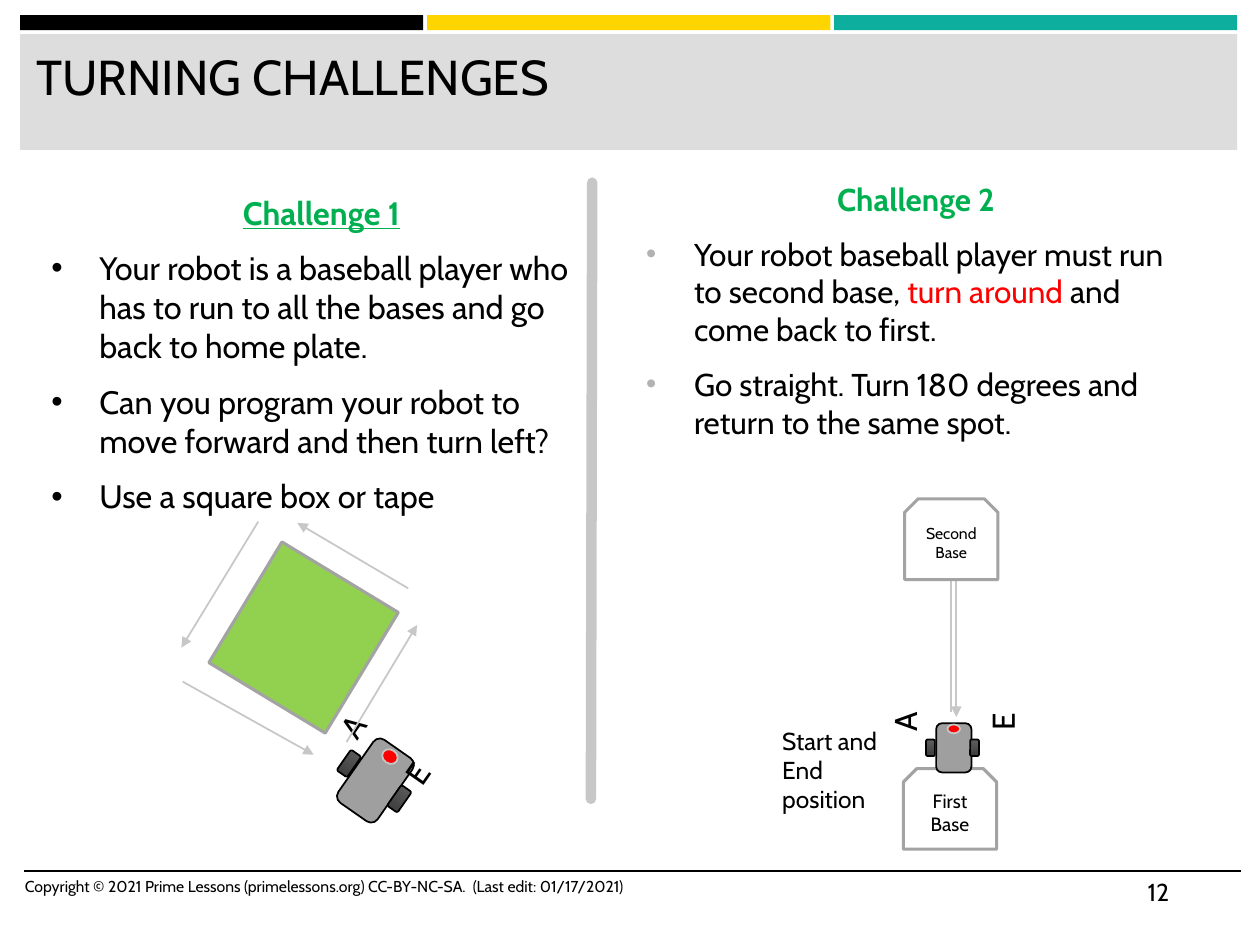
from dataclasses import dataclass
from typing import NamedTuple, Optional

from lxml.etree import SubElement
from pptx import Presentation
from pptx.dml.color import RGBColor
from pptx.enum.shapes import MSO_CONNECTOR as Connector, MSO_SHAPE as Shape
from pptx.enum.text import MSO_ANCHOR as Anchor, PP_ALIGN as Align
from pptx.oxml.ns import qn
from pptx.util import Inches, Pt

FONT = "Cabin"
BLACK, WHITE, RED = "000000", "FFFFFF", "FF0000"
GREEN, LIME, YELLOW, TEAL = "00B050", "92D050", "FFD500", "0EAE9F"
PALE, SILVER, GRAY, BODY_GRAY = "DDDDDD", "C7C7C7", "A3A3A3", "9F9F9F"


class Rect(NamedTuple):
    left: float
    top: float
    width: float
    height: float


class Line(NamedTuple):
    x1: float
    y1: float
    x2: float
    y2: float


class Span(NamedTuple):
    text: str
    color: str = BLACK


@dataclass
class Challenge:
    area: Rect
    heading: str
    size: float
    underline: bool
    bullets: list[list[Span]]
    bullet_color: str
    bullet_percent: int


@dataclass
class Robot:
    body: Rect
    wheels: list[Rect]
    light: Rect
    labels: dict[str, Rect]
    angle: float
    label_angle: float


def rgb(color: str) -> RGBColor:
    return RGBColor.from_string(color)


def add_shape(page, kind, rect: Rect, fill: Optional[str], line: Optional[str] = None,
              weight: float = 1, angle: float = 0):
    shape = page.shapes.add_shape(kind, *map(Inches, rect))
    shape.shadow.inherit = False
    shape.rotation = angle
    if fill:
        shape.fill.solid()
        shape.fill.fore_color.rgb = rgb(fill)
    if line:
        shape.line.color.rgb = rgb(line)
        shape.line.width = Pt(weight)
    else:
        shape.line.fill.background()
    return shape


def add_line(page, ends: Line, color: str = SILVER, weight: float = 1,
             arrow: bool = False, rounded: bool = False) -> None:
    line = page.shapes.add_connector(Connector.STRAIGHT, *map(Inches, ends))
    line.line.color.rgb = rgb(color)
    line.line.width = Pt(weight)
    properties = line.line._get_or_add_ln()
    if rounded:
        properties.set("cap", "rnd")
    if arrow:
        SubElement(properties, qn("a:tailEnd"), type="triangle")
    SubElement(line._element.spPr, qn("a:effectLst"))


def style_text(para, size: float, color: str = BLACK) -> None:
    para.font.name = FONT
    para.font.size = Pt(size)
    para.font.color.rgb = rgb(color)


def add_text(page, rect: Rect, text: str, size: float, angle: float = 0) -> None:
    box = page.shapes.add_textbox(*map(Inches, rect))
    box.rotation = angle
    box.text_frame.word_wrap = True
    box.text_frame.text = text
    style_text(box.text_frame.paragraphs[0], size)


def add_bullet(para, color: str, percent: int) -> None:
    properties = para._p.get_or_add_pPr()
    properties.set("marL", str(Inches(0.38)))
    properties.set("indent", str(-Inches(0.38)))
    SubElement(SubElement(properties, qn("a:buClr")), qn("a:srgbClr"), val=color)
    SubElement(properties, qn("a:buSzPct"), val=str(percent * 1000))
    SubElement(properties, qn("a:buFont"), typeface="Arial")
    SubElement(properties, qn("a:buChar"), char="•")


def add_challenge(page, challenge: Challenge) -> None:
    frame = page.shapes.add_textbox(*map(Inches, challenge.area)).text_frame
    frame.word_wrap = True
    frame.text = challenge.heading
    heading = frame.paragraphs[0]
    heading.alignment = Align.CENTER
    heading.space_after = Pt(6)
    style_text(heading, challenge.size, GREEN)
    heading.runs[0].font.bold = True
    heading.runs[0].font.underline = challenge.underline
    for spans in challenge.bullets:
        para = frame.add_paragraph()
        para.space_before, para.space_after = Pt(3.6), Pt(6)
        add_bullet(para, challenge.bullet_color, challenge.bullet_percent)
        style_text(para, challenge.size)
        for span in spans:
            run = para.add_run()
            run.text = span.text
            run.font.color.rgb = rgb(span.color)


def add_base(page, rect: Rect, text: str, size: float) -> None:
    base = add_shape(page, Shape.SNIP_2_SAME_RECTANGLE, rect, WHITE, GRAY, 1.75)
    base.text_frame.word_wrap = True
    base.text_frame.vertical_anchor = Anchor.MIDDLE
    base.text_frame.text = text
    para = base.text_frame.paragraphs[0]
    para.alignment = Align.CENTER
    style_text(para, size)


def add_robot(page, robot: Robot) -> None:
    add_shape(page, Shape.ROUNDED_RECTANGLE, robot.body, BODY_GRAY, BLACK, angle=robot.angle)
    for rect in robot.wheels:
        wheel = add_shape(page, Shape.ROUNDED_RECTANGLE, rect, None, BLACK, angle=robot.angle)
        wheel.fill.gradient()
        wheel.fill.gradient_angle = 270
        for stop, (position, color) in zip(wheel.fill.gradient_stops,
                                           [(0, "5F5F5F"), (0.84, "414141")]):
            stop.position = position
            stop.color.rgb = rgb(color)
    add_shape(page, Shape.OVAL, robot.light, RED, SILVER, angle=robot.angle)
    for letter, rect in robot.labels.items():
        add_text(page, rect, letter, 18, robot.label_angle)


CHALLENGES = [
    Challenge(Rect(5.03, 1.38, 4.48, 4.78), "Challenge 2", 18, False, [
        [Span("Your robot baseball player must run to second base, "),
         Span("turn around", RED), Span(" and come back to first.")],
        [Span("Go straight. Turn 180 degrees and return to the same spot.")],
    ], "B2B2B2", 92),
    Challenge(Rect(0.31, 1.48, 4.48, 2.38), "Challenge 1", 18.5, True, [
        [Span("Your robot is a baseball player who has to run to all the bases "
              "and go back to home plate.")],
        [Span("Can you program your robot to move forward and then turn left?")],
        [Span("Use a square box or tape")],
    ], BLACK, 100),
]
SQUARE_ROBOT = Robot(
    Rect(2.79, 5.89, 0.38, 0.61), [Rect(3.12, 6.24, 0.1, 0.2), Rect(2.72, 5.96, 0.1, 0.2)],
    Rect(3.03, 5.95, 0.13, 0.11),
    {"A": Rect(2.65, 5.61, 0.25, 0.4), "E": Rect(3.16, 5.97, 0.25, 0.4)}, 34.9, 304.9)
BASE_ROBOT = Robot(
    Rect(7.43, 5.74, 0.28, 0.39), [Rect(7.7, 5.87, 0.07, 0.13), Rect(7.35, 5.87, 0.07, 0.13)],
    Rect(7.52, 5.75, 0.1, 0.07),
    {"A": Rect(7.1, 5.59, 0.16, 0.4), "E": Rect(7.92, 5.56, 0.07, 0.4)}, 0, 270)
SQUARE_ROUTE = [Line(2.05, 4.14, 1.44, 5.14), Line(3.24, 4.67, 2.36, 4.15),
                Line(2.75, 5.89, 3.31, 4.96), Line(1.45, 5.41, 2.49, 5.99)]
BASE_ROUTE = [Line(7.55, 5.65, 7.55, 4.49), Line(7.59, 4.6, 7.59, 5.69)]


def main() -> None:
    deck = Presentation()
    deck.slide_width, deck.slide_height = Inches(10), Inches(7.5)
    page = deck.slides.add_slide(deck.slide_layouts[6])

    # Header and footer
    for index, color in enumerate([BLACK, YELLOW, TEAL]):
        add_shape(page, Shape.RECTANGLE, Rect(0.16 + 3.23 * index, 0.12, 3.2, 0.12), color)
    add_shape(page, Shape.RECTANGLE, Rect(0.16, 0.27, 9.66, 0.92), PALE)
    add_text(page, Rect(0.19, 0.32, 9.57, 0.82), "TURNING CHALLENGES", 28)
    add_line(page, Line(0.19, 6.91, 9.85, 6.91), BLACK)
    add_text(page, Rect(0.1, 6.91, 5.33, 0.4), "Copyright © 2021 Prime Lessons "
             "(primelessons.org) CC-BY-NC-SA.  (Last edit: 01/17/2021)", 9)
    add_text(page, Rect(9.01, 6.91, 0.84, 0.4), "12", 14)

    # Challenge texts and divider
    for challenge in CHALLENGES:
        add_challenge(page, challenge)
    add_line(page, Line(4.69, 6.34, 4.7, 1.45), weight=6, rounded=True)

    # Square course
    add_shape(page, Shape.RECTANGLE, Rect(1.85, 4.52, 1.12, 1.08), LIME, GRAY, 1.75, 301.2)
    add_robot(page, SQUARE_ROBOT)

    # Routes of both courses
    for ends in SQUARE_ROUTE + BASE_ROUTE:
        add_line(page, ends, arrow=True)

    # Course between the bases
    add_text(page, Rect(6.11, 5.71, 1.04, 0.81), "Start and End position", 14)
    add_base(page, Rect(7.17, 6.1, 0.74, 0.64), "First Base", 11)
    add_robot(page, BASE_ROBOT)
    add_base(page, Rect(7.18, 3.96, 0.74, 0.64), "Second Base", 9)

    deck.save("out.pptx")


if __name__ == "__main__":
    main()
